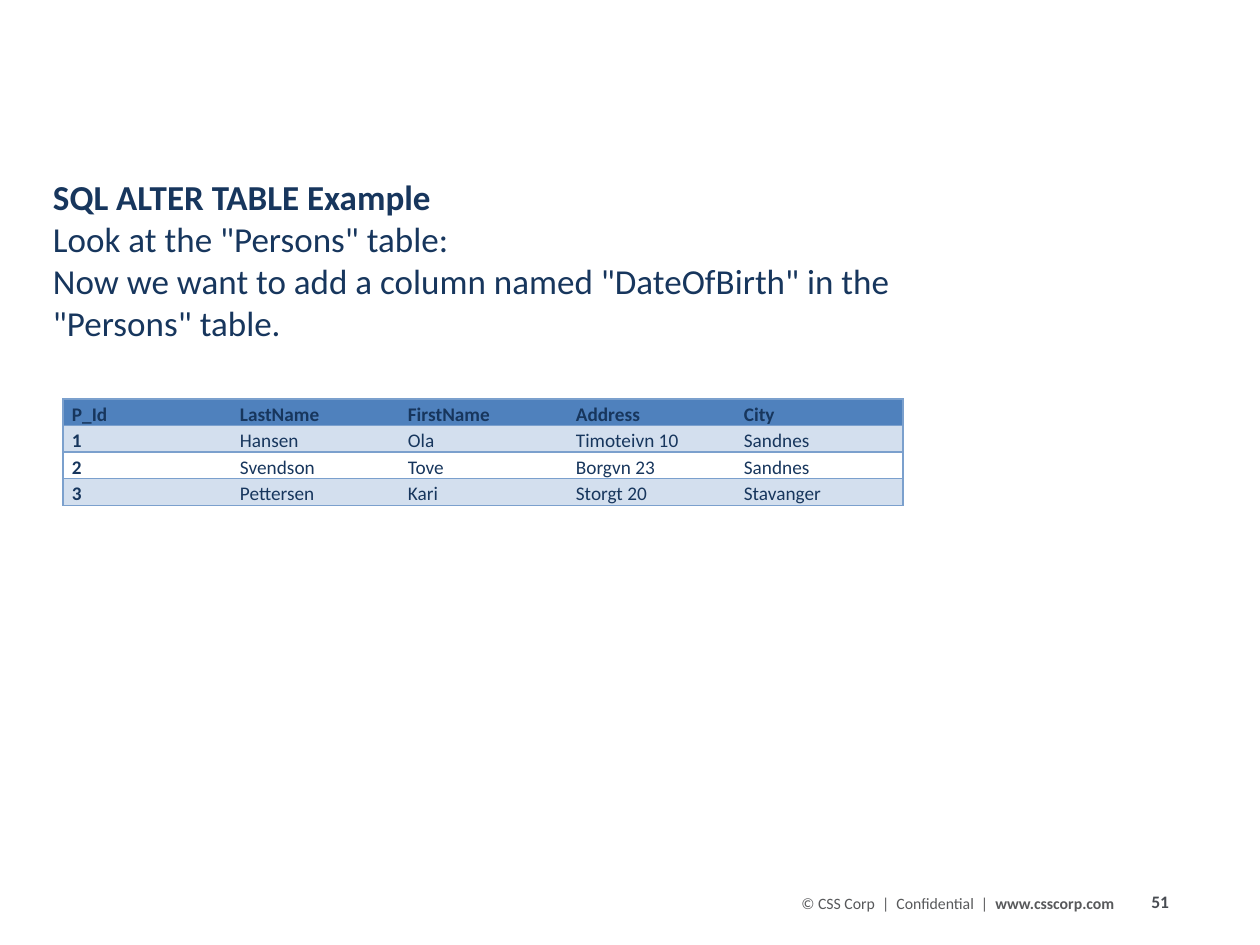
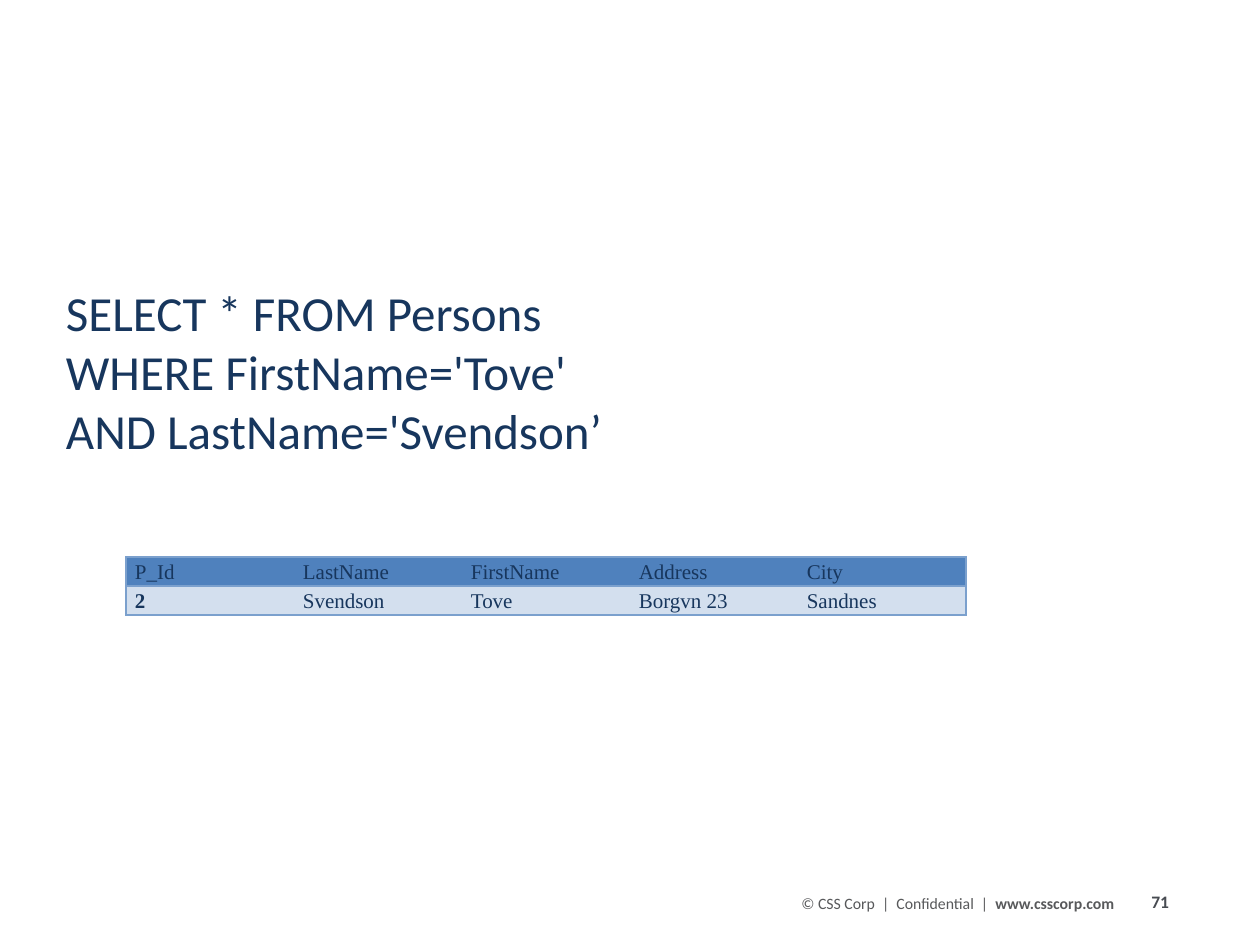
from pptx import Presentation
from pptx.dml.color import RGBColor
from pptx.enum.text import MSO_ANCHOR as Anchor, MSO_AUTO_SIZE as AutoSize, PP_ALIGN as Align
from pptx.oxml import parse_xml
from pptx.oxml.ns import nsdecls, qn
from pptx.util import Emu, Inches, Pt

PX_PER_INCH = 126
TITLE_ONLY = 5
NO_STYLE_NO_GRID = "{2D5ABB26-0587-4C30-8999-92F81FD0307C}"

NAVY = "17365D"
HEADER_BLUE = "4F81BD"
BAND_BLUE = "D3DFEE"
BORDER_BLUE = "7BA0CD"
NUMBER_GREY = "484C52"
FOOTER_GREY = "58595B"

COLUMNS = ["P_Id", "LastName", "FirstName", "Address", "City"]
SVENDSON = ["2", "Svendson", "Tove", "Borgvn 23", "Sandnes"]
PERSONS = [
    ["1", "Hansen", "Ola", "Timoteivn 10", "Sandnes"],
    SVENDSON,
    ["3", "Pettersen", "Kari", "Storgt 20", "Stavanger"],
]


def px(length):
    return Emu(round(length * Inches(1) / PX_PER_INCH))


def color(hex_string):
    return RGBColor.from_string(hex_string)


def set_font(font, size, hex_color, bold=False, name="Calibri"):
    font.name = name
    font.size = Pt(size)
    font.bold = bold
    font.color.rgb = color(hex_color)


def place_title(slide, left, top, width, height, paragraphs, size, inset=13, bold_first=False):
    title = slide.shapes.title
    title.left, title.top, title.width, title.height = map(px, (left, top, width, height))
    frame = title.text_frame
    frame.auto_size = AutoSize.NONE
    frame.word_wrap = True
    frame.vertical_anchor = Anchor.MIDDLE
    frame.margin_left = frame.margin_right = px(inset)
    for index, text in enumerate(paragraphs):
        para = frame.add_paragraph() if index else frame.paragraphs[0]
        para.text = text
        para.alignment = Align.LEFT
        set_font(para.font, size, NAVY, bold=bold_first and index == 0)


def add_text_line(slide, left, top, width, height, wrap=True):
    """Add a one-line text box and return its empty paragraph."""
    box = slide.shapes.add_textbox(*map(px, (left, top, width, height)))
    box.text_frame.word_wrap = wrap
    return box.text_frame.paragraphs[0]


def add_footer(slide, number):
    para = add_text_line(slide, 1139, 885, 100, 34, wrap=False)
    para.text = str(number)
    set_font(para.font, 10, NUMBER_GREY, bold=True)

    para = add_text_line(slide, 789, 888, 388, 32)
    for text, bold in (("© CSS Corp  |  Confidential  |  ", False), ("www.csscorp.com", True)):
        span = para.add_run()
        span.text = text
        set_font(span.font, 9, FOOTER_GREY, bold)


def set_borders(cell, sides):
    """Draw the given sides, a string of L, R, T and B in that order."""
    properties = cell._tc.get_or_add_tcPr()
    for side in sides:
        properties.append(parse_xml(
            f'<a:ln{side} {nsdecls("a")} w="{Pt(1)}"><a:solidFill>'
            f'<a:srgbClr val="{BORDER_BLUE}"/></a:solidFill></a:ln{side}>'))


def fill_cell(cell, hex_color):
    if hex_color:
        cell.fill.solid()
        cell.fill.fore_color.rgb = color(hex_color)
    else:
        cell.fill.background()


def add_records_table(slide, left, top, records, row_height, size, font_name, bold_header):
    rows = [COLUMNS, *records]
    last_column = len(COLUMNS) - 1
    frame = slide.shapes.add_table(len(rows), len(COLUMNS), px(left), px(top),
                                   px(168 * len(COLUMNS)), px(row_height * len(rows)))
    table = frame.table
    table.first_row = table.horz_banding = False
    next(frame.element.iter(qn("a:tableStyleId"))).text = NO_STYLE_NO_GRID
    for row_index, values in enumerate(rows):
        is_header = row_index == 0
        fill = HEADER_BLUE if is_header else BAND_BLUE if row_index % 2 else None
        for column, value in enumerate(values):
            cell = table.cell(row_index, column)
            cell.margin_left = cell.margin_right = px(9)
            cell.margin_top = cell.margin_bottom = 0
            para = cell.text_frame.paragraphs[0]
            para.text = value
            para.line_spacing = 1.15
            bold = bold_header if is_header else column == 0
            set_font(para.font, size, NAVY, bold, font_name)
            edge = {0: "L", last_column: "R"}.get(column, "")
            set_borders(cell, edge + "TB")
            fill_cell(cell, fill)


def add_slide(deck, number):
    slide = deck.slides.add_slide(deck.slide_layouts[TITLE_ONLY])
    add_footer(slide, number)
    return slide


def main():
    deck = Presentation()
    deck.slide_width, deck.slide_height = Inches(10), Inches(7.5)

    alter_slide = add_slide(deck, 51)
    place_title(alter_slide, 53, 168, 924, 183, [
        "SQL ALTER TABLE Example",
        'Look at the "Persons" table:',
        'Now we want to add a column named "DateOfBirth" in the "Persons" table.',
    ], size=20, inset=0, bold_first=True)
    add_records_table(alter_slide, 63, 399, PERSONS, 26, 11, "Calibri", bold_header=True)

    select_slide = add_slide(deck, 71)
    place_title(select_slide, 53, 276, 1113, 190, [
        "SELECT * FROM Persons\nWHERE FirstName='Tove'\nAND LastName='Svendson’",
    ], size=28)
    add_records_table(select_slide, 126, 557, [SVENDSON], 29, 12, "Times New Roman",
                      bold_header=False)

    deck.save("out.pptx")


if __name__ == "__main__":
    main()
